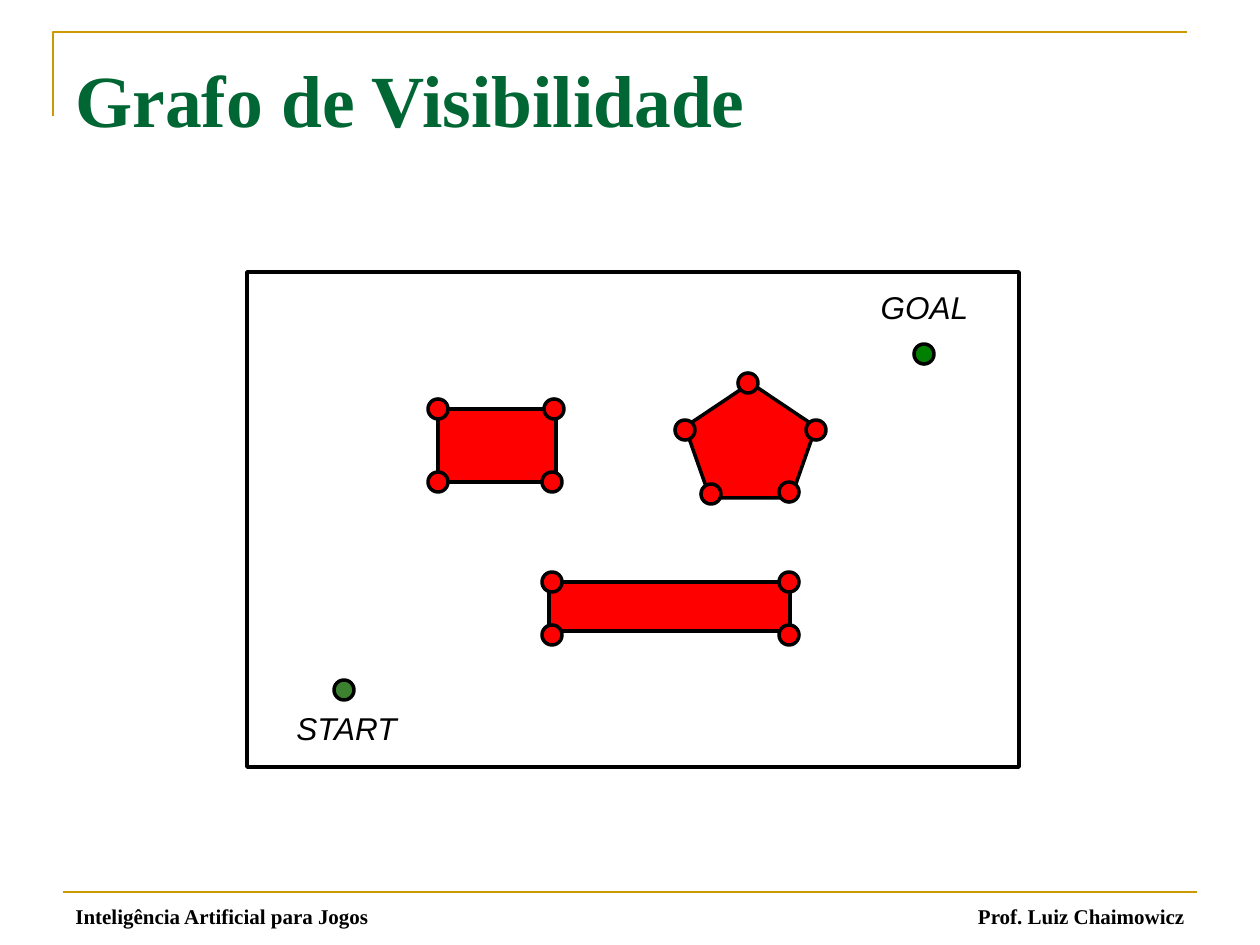
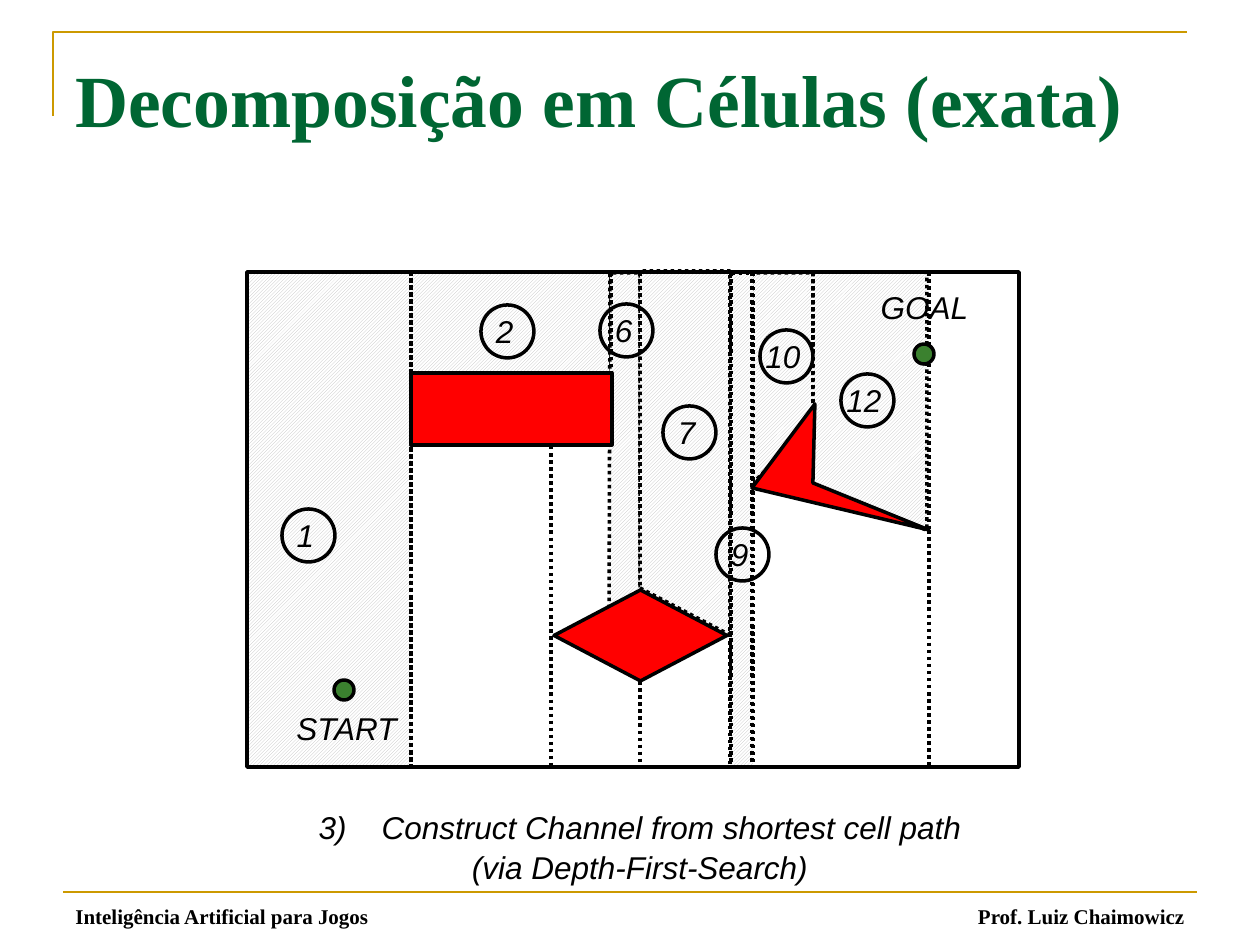
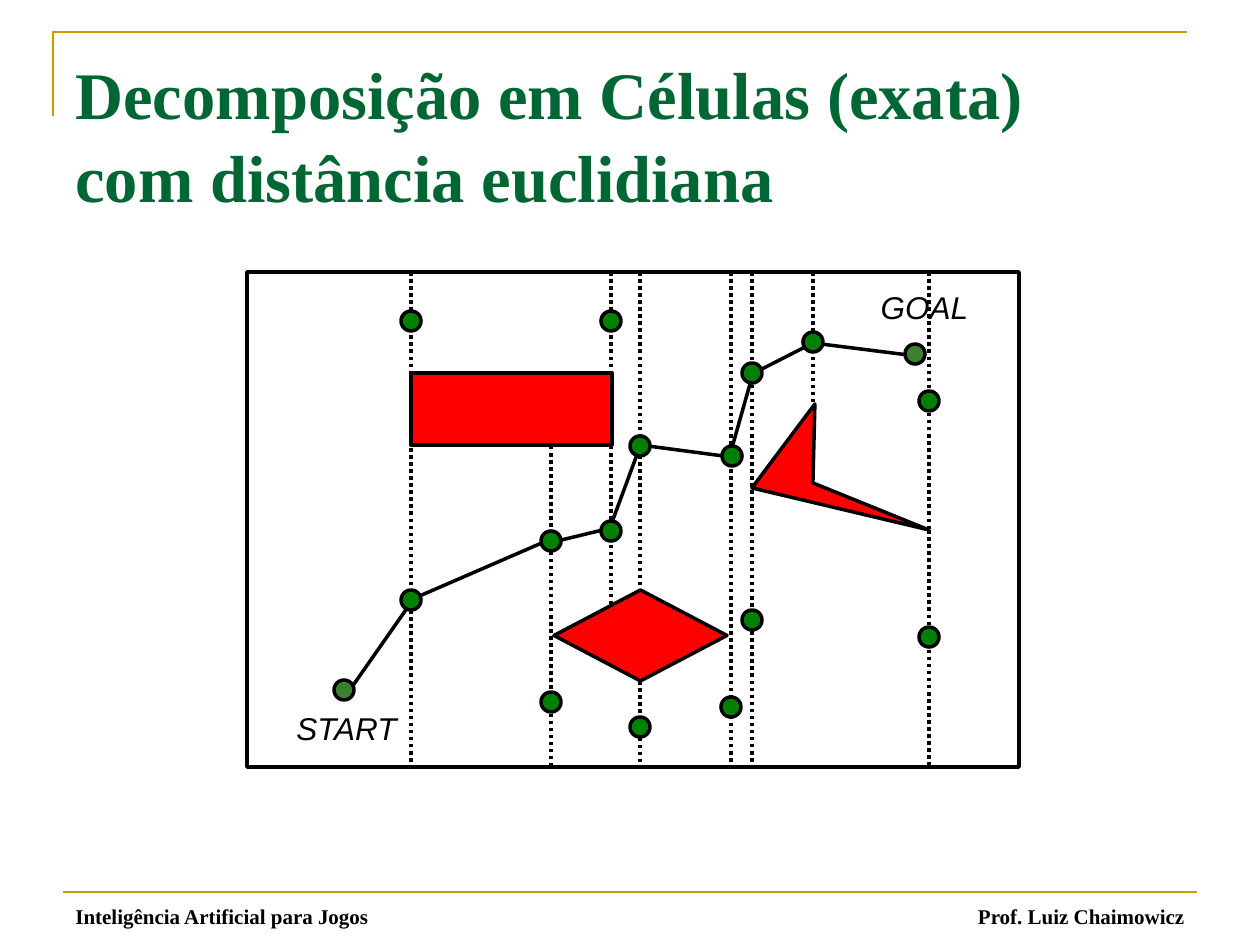
from lxml.etree import SubElement as Sub
from pptx import Presentation
from pptx.dml.color import RGBColor as Rgb
from pptx.enum.dml import MSO_LINE as Dash, MSO_PATTERN as Pat
from pptx.enum.shapes import MSO_CONNECTOR as Conn, MSO_SHAPE as Kind
from pptx.enum.text import MSO_ANCHOR as Anchor, PP_ALIGN as Align
from pptx.oxml.ns import qn
from pptx.util import Pt

SCALE = 914400 / 126
INK = {"black": "000000", "gold": "CC9900", "title": "006633", "red": "FF0000",
       "moss": "3B812F", "green": "008000", "gray": "C0C0C0", "white": "FFFFFF"}
FONTS = {
    "title": {"name": "Times New Roman", "size": Pt(42), "bold": True},
    "long": {"name": "Times New Roman", "size": Pt(38), "bold": True},
    "foot": {"name": "Times New Roman", "size": Pt(12), "bold": True},
    "label": {"name": "Arial", "size": Pt(18), "italic": True},
}
FRAME = (247, 272, 772, 495)
BAR = (411, 373, 201, 72)
GEM = (554, 590, 173, 91)
WEDGE = [(752, 488), (815, 404), (813, 483), (929, 530)]
START, GOAL = (344, 690), (924, 354)
SWEEPS = [(411, 272, 768), (551, 446, 767), (640, 646, 768), (731, 272, 767),
          (640, 272, 590), (611, 272, 373), (752, 272, 767), (929, 530, 767),
          (813, 272, 404), (929, 272, 530)]


def px(*nums):
    return [round(n * SCALE) for n in nums]


def tint(name):
    return Rgb.from_string(INK[name])


def put(obj, **vals):
    for key, val in vals.items():
        setattr(obj, key, val)


class Deck:
    def __init__(self):
        self.prs = Presentation()
        self.prs.slide_width, self.prs.slide_height = px(1260, 945)

    def page(self, title, font="title"):
        self.shapes = self.prs.slides.add_slide(self.prs.slide_layouts[6]).shapes
        self.poly([(53, 116), (53, 32), (1187, 32)], close=False, ink="gold", width=1.5)
        self.line(63, 892, 1197, 892, ink="gold", width=1.5)
        foot = {"font": "foot", "wrap": True, "anchor": Anchor.BOTTOM, "gap": 1.0}
        self.text((903, 903, 294, 32), ["Prof. Luiz Chaimowicz"], align=Align.RIGHT, **foot)
        self.text((63, 903, 357, 32), ["Inteligência Artificial para Jogos"],
                  align=Align.LEFT, **foot)
        self.text((63, 38, 1134, 120), [title], font, "title", Align.LEFT,
                  wrap=True, gap=1.03, top=13)

    def paint(self, shape, fill, ink, width, dots):
        shape.shadow.inherit = False
        if fill == "hatch":
            shape.fill.patterned()
            shape.fill.pattern = Pat.LIGHT_UPWARD_DIAGONAL
            shape.fill.fore_color.rgb = tint("gray")
            shape.fill.back_color.rgb = tint("white")
        elif fill:
            shape.fill.solid()
            shape.fill.fore_color.rgb = tint(fill)
        else:
            shape.fill.background()
        self.pen(shape.line, ink, width, dots)

    def pen(self, line, ink, width, dots):
        line.color.rgb = tint(ink)
        line.width = Pt(width)
        if dots:
            line.dash_style = Dash.ROUND_DOT

    def shape(self, kind, box, fill=None, dots=False):
        self.paint(self.shapes.add_shape(kind, *px(*box)), fill, "black", 2, dots)

    def poly(self, pts, fill=None, close=True, ink="black", width=2, dots=False):
        form = self.shapes.build_freeform(*pts[0], scale=SCALE)
        form.add_line_segments(pts[1:], close=close)
        self.paint(form.convert_to_shape(), fill, ink, width, dots)

    def line(self, x1, y1, x2, y2, ink="black", width=2, dots=False):
        link = self.shapes.add_connector(Conn.STRAIGHT, *px(x1, y1, x2, y2))
        self.pen(link.line, ink, width, dots)
        Sub(link._element.spPr, qn("a:effectLst"))

    def dot(self, spot, fill):
        x, y = spot
        self.shape(Kind.OVAL, (x - 10, y - 10, 20, 20), fill)

    def text(self, box, rows, font="label", ink="black", align=Align.CENTER,
             wrap=False, anchor=Anchor.TOP, gap=1.04, top=6, first=None):
        frame = self.shapes.add_textbox(*px(*box)).text_frame
        put(frame, word_wrap=wrap, vertical_anchor=anchor, margin_top=px(top)[0])
        for i, row in enumerate(rows):
            para = frame.add_paragraph() if i else frame.paragraphs[0]
            put(para, text=row, alignment=align, line_spacing=gap)
            if first:
                prop = para._p.get_or_add_pPr()
                prop.set("marL", "457200")
                prop.set("indent", "-457200")
                if not i:
                    Sub(prop, qn("a:buAutoNum"), type="arabicParenR", startAt=str(first))
            for run in para.runs:
                put(run.font, **FONTS[font])
                run.font.color.rgb = tint(ink)

    def arena(self, goal=GOAL, shade="moss"):
        self.shape(Kind.RECTANGLE, FRAME)
        self.dot(START, "moss")
        self.dot(goal, shade)
        self.text((868, 281, 113, 50), ["GOAL"])
        self.text((282, 702, 129, 50), ["START"])

    def sweep(self, rows):
        for x, top, low in rows:
            self.line(x, top, x, low, dots=True)

    def blocks(self):
        self.shape(Kind.RECTANGLE, BAR, "red")
        self.poly(WEDGE, "red")
        self.shape(Kind.FLOWCHART_DECISION, GEM, "red")

    def badge(self, num, x, y):
        self.shape(Kind.OVAL, (x, y, 53, 53))
        left, wide = (x + 2, 43) if num < 10 else (x - 7, 60)
        self.text((left, y, wide, 50), [str(num)])


def graph(deck):
    deck.page("Grafo de Visibilidade")
    deck.arena(shade="green")
    for kind, box in [(Kind.RECTANGLE, (438, 409, 118, 73)),
                      (Kind.RECTANGLE, (549, 582, 241, 49)),
                      (Kind.REGULAR_PENTAGON, (685, 383, 131, 115))]:
        deck.shape(kind, box, "red")
    for spot in [(552, 635), (789, 635), (552, 582), (789, 582), (438, 482),
                 (438, 409), (554, 409), (816, 430), (789, 492), (748, 383),
                 (685, 430), (711, 494), (552, 482)]:
        deck.dot(spot, "red")


def cells(deck):
    deck.page("Decomposição em Células (exata)")
    deck.shape(Kind.RECTANGLE, (408, 272, 203, 101), "hatch")
    for pts in [[(813, 272), (927, 272), (927, 530), (811, 494)],
                [(752, 273), (752, 484), (813, 423), (813, 273)],
                [(609, 629), (640, 604), (640, 273), (610, 273)],
                [(640, 588), (730, 635), (730, 271), (640, 271)]]:
        deck.poly(pts, "hatch", dots=True)
    for box in [(730, 273, 23, 494), (247, 272, 164, 495)]:
        deck.shape(Kind.RECTANGLE, box, "hatch", dots=True)
    deck.sweep(SWEEPS)
    deck.arena()
    deck.blocks()
    deck.text((306, 801, 668, 88), ["Construct Channel from shortest cell path",
                                    "(via Depth-First-Search)"], first=3)
    for num, x, y in [(1, 282, 509), (2, 481, 305), (7, 663, 406), (10, 760, 330),
                      (12, 841, 374), (6, 600, 304), (9, 716, 528)]:
        deck.badge(num, x, y)


def route(deck):
    deck.page("Decomposição em Células (exata)\vcom distância euclidiana", "long")
    deck.poly([(756, 372), (813, 343), (924, 357)], close=False)
    for ends in [(730, 455, 752, 377), (640, 445, 731, 457), (611, 525, 641, 444),
                 (549, 543, 611, 528), (408, 601, 551, 539), (347, 694, 410, 604)]:
        deck.line(*ends)
    deck.sweep(SWEEPS + [(611, 446, 610)])
    deck.arena(goal=(915, 354))
    deck.blocks()
    for spot in [(411, 600), (551, 702), (640, 727), (731, 707), (752, 620),
                 (813, 342), (929, 637), (611, 321), (611, 531), (732, 456),
                 (411, 321), (640, 446), (752, 373), (551, 541), (929, 401)]:
        deck.dot(spot, "green")


def main():
    deck = Deck()
    for build in (graph, cells, route):
        build(deck)
    deck.prs.save("out.pptx")


if __name__ == "__main__":
    main()
